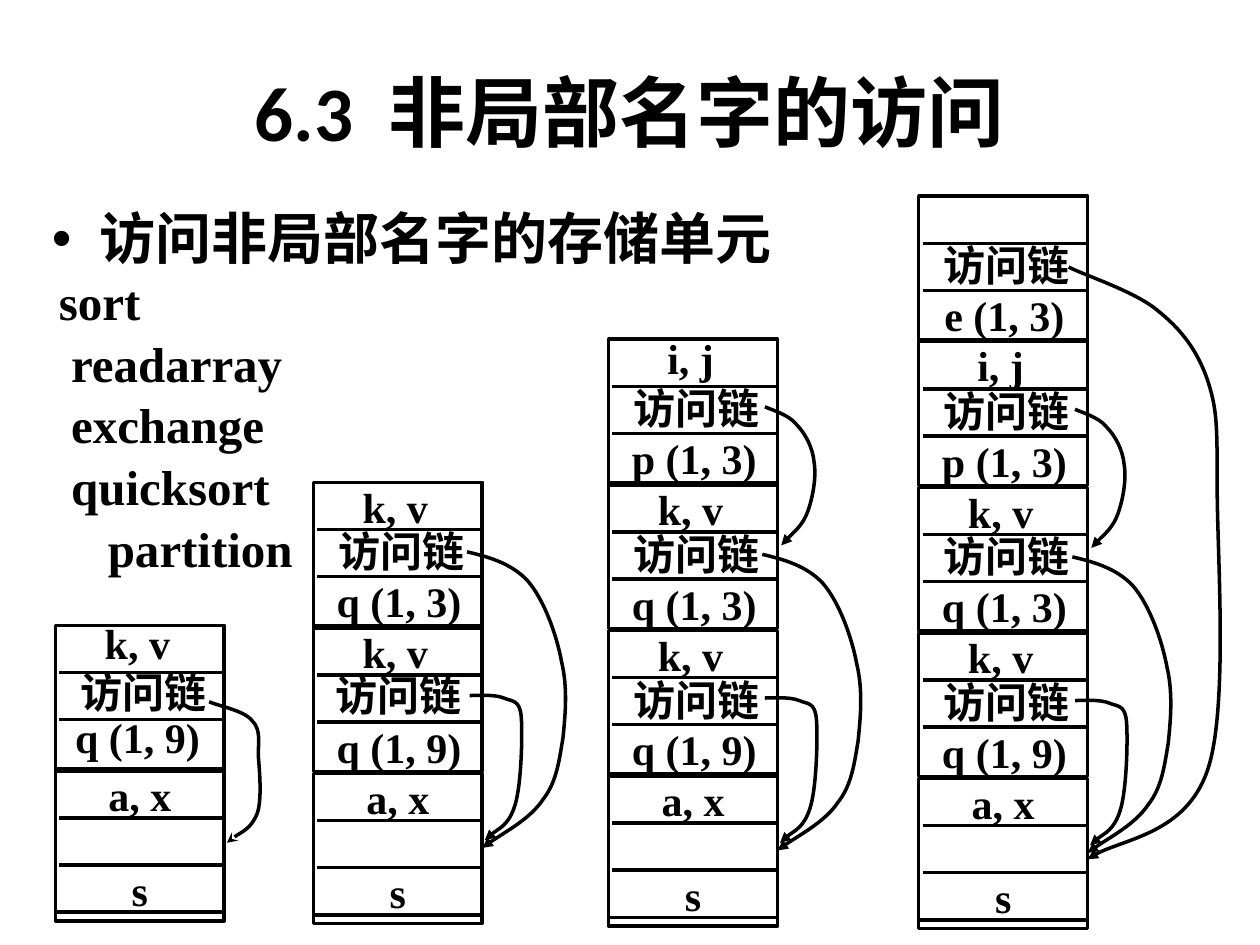
from dataclasses import dataclass

from lxml import etree
from pptx import Presentation
from pptx.dml.color import RGBColor
from pptx.enum.shapes import MSO_CONNECTOR, MSO_SHAPE
from pptx.enum.text import MSO_ANCHOR, PP_ALIGN
from pptx.oxml.ns import qn
from pptx.util import Pt

RECT = MSO_SHAPE.RECTANGLE
STRAIGHT = MSO_CONNECTOR.STRAIGHT
LEFT, CENTER, JUSTIFY = PP_ALIGN.LEFT, PP_ALIGN.CENTER, PP_ALIGN.JUSTIFY
TOP, MIDDLE = MSO_ANCHOR.TOP, MSO_ANCHOR.MIDDLE
Points = list[tuple[float, float]]


@dataclass(frozen=True)
class Theme:
    ink: RGBColor = RGBColor(0, 0, 0)
    heading_font: str = "Calibri"
    cjk_font: str = "Noto Sans CJK SC"
    code_font: str = "Times New Roman"
    heading_size: float = 44
    bullet_size: float = 32
    code_size: float = 28
    label_size: float = 24
    stroke: float = 2


@dataclass(frozen=True)
class Frame:
    call: str
    variables: str = "k, v"
    variables_dy: float = -1.4
    link_dx: float = 2.2
    link_dy: float = 24.2
    call_dx: float = 0.7
    call_dy: float = 52.6


@dataclass(frozen=True)
class Link:
    points: Points
    head: str = "triangle"


@dataclass(frozen=True)
class Stack:
    left: float
    frames: list[Frame]
    links: list[Link]


THEME = Theme()
WIDTH = 96.5
BASE_HEIGHT, FRAME_HEIGHT, FRAME_PITCH = 85.7, 82.1, 83.2
BASE_TOP, BASE_STEP = 440.6, 1.44
ROW = 26.9
RULE_INSET = 2.2
LABEL_HEIGHT = 31

MAIN_LINK = Link([
    (87.8, -39.6), (92.2, -37.4), (108, -34.6), (112.3, -28.8), (117.4, -23.8),
    (115.9, -17.3), (115.9, -8.6), (116.6, 0), (118.1, 16.6), (115.2, 24.5),
    (111.6, 33.1), (101.5, 37.4), (97.9, 41)], "stealth")
OUTER_SORT_LINK = Link([
    (89.3, -44.6), (92.2, -44.6), (103.7, -45.4), (108.7, -43.2), (113.8, -41),
    (118.1, -42.5), (118.8, -31.7), (119.5, -21.6), (118.8, 6.5), (115.2, 18),
    (111.6, 29.5), (101.5, 33.8), (97.9, 38.2)])
INNER_SORT_LINK = Link([
    (87.8, -126.7), (100.1, -123.8), (113, -120.2), (122.4, -110.2),
    (131.8, -99.4), (139, -79.2), (141.8, -64.1), (145.4, -49), (144, -33.8),
    (142.6, -20.2), (140.4, -7.2), (139, 5), (131, 15.1), (123.8, 25.9),
    (103.7, 36.7), (96.5, 42.5)])
PARTITION_LINK = Link([
    (89.3, -211), (92.2, -209.5), (103, -206.6), (107.3, -200.9),
    (112.3, -195.8), (116.6, -187.9), (117.4, -179.3), (118.8, -170.6),
    (116.6, -159.1), (113.8, -151.2), (110.9, -143.3), (102.2, -136.1),
    (98.6, -131.8)])
EXCHANGE_LINK = Link([
    (85.7, -292.3), (93.6, -288), (123.1, -278.6), (136.1, -267.8),
    (149.8, -257), (159.1, -244.8), (164.9, -228.2), (170.6, -211),
    (170.6, -202.3), (170.6, -165.6), (170.6, -128.2), (177.1, -38.9),
    (164.9, -4.3), (152.6, 31), (110.9, 35.3), (96.5, 46.1)])

OUTER_SORT, INNER_SORT = Frame("q (1, 9)"), Frame("q (1, 3)")
SORT_LINKS = [OUTER_SORT_LINK, INNER_SORT_LINK]
STACKS = [
    Stack(31.7, [Frame("q (1, 9)", variables_dy=-5, link_dy=23, call_dx=-1.4,
                       call_dy=48.2)], [MAIN_LINK]),
    Stack(179.1, [Frame("q (1, 9)", link_dx=0.4, link_dy=23), INNER_SORT],
          SORT_LINKS),
    Stack(347.8, [OUTER_SORT, INNER_SORT,
                  Frame("p (1, 3)", "i, j", variables_dy=-4.4)],
          [*SORT_LINKS, PARTITION_LINK]),
    Stack(525, [OUTER_SORT, INNER_SORT,
                Frame("p (1, 3)", "i, j", variables_dy=-2.2),
                Frame("e (1, 3)", "")],
          [*SORT_LINKS, PARTITION_LINK, EXCHANGE_LINK]),
]
PROCEDURES = ["sort", " readarray", " exchange", " quicksort", "    partition"]


def add_text(slide, lines: list[str], left: float, top: float, width: float,
             height: float, font: str, size: float, align=LEFT, anchor=TOP,
             wrap: bool = True, spacing: float = 1.0):
    """Add a bold text box with one paragraph per line and return its frame."""
    frame = slide.shapes.add_textbox(Pt(left), Pt(top), Pt(width), Pt(height)).text_frame
    frame.word_wrap, frame.vertical_anchor = wrap, anchor
    for index, line in enumerate(lines):
        paragraph = frame.add_paragraph() if index else frame.paragraphs[0]
        paragraph.alignment, paragraph.line_spacing = align, spacing
        run = paragraph.add_run()
        run.text = line
        run.font.name, run.font.size, run.font.bold = font, Pt(size), True
        run.font.color.rgb = THEME.ink
        east_asian = etree.SubElement(run.font._element, qn("a:ea"))
        east_asian.set("typeface", THEME.cjk_font)
    return frame


def add_label(slide, text: str, left: float, top: float) -> None:
    """Add a centred cell label."""
    frame = add_text(slide, [text], left, top, WIDTH, LABEL_HEIGHT,
                     THEME.code_font, THEME.label_size, CENTER)
    frame.margin_top = frame.margin_bottom = Pt(0.7)


def style_outline(shape) -> None:
    """Give a shape the common stroke."""
    shape.line.color.rgb, shape.line.width = THEME.ink, Pt(THEME.stroke)


def add_rule(slide, left: float, right: float, y: float) -> None:
    """Add a horizontal rule between cells."""
    rule = slide.shapes.add_connector(STRAIGHT, Pt(left), Pt(y), Pt(right), Pt(y))
    style_outline(rule)
    etree.SubElement(rule.element.spPr, qn("a:effectLst"))


def add_record(slide, left: float, top: float, height: float) -> None:
    """Add an activation record box with its two inner rules."""
    record = slide.shapes.add_shape(RECT, Pt(left), Pt(top), Pt(WIDTH), Pt(height))
    record.shadow.inherit = False
    record.fill.background()
    style_outline(record)
    for row in (1, 2):
        add_rule(slide, left + RULE_INSET, left + WIDTH - 1.1, top + row * ROW)


def add_link(slide, link: Link, left: float, top: float) -> None:
    """Add a curved access link through Bezier control points."""
    start, *controls = [(Pt(left + x), Pt(top + y)) for x, y in link.points]
    builder = slide.shapes.build_freeform(*start)
    builder.add_line_segments(controls, close=False)
    curve = builder.convert_to_shape()
    curve.shadow.inherit = False
    curve.fill.background()
    style_outline(curve)
    outline = next(curve.element.iter(qn("a:path")))
    segments = outline.findall(qn("a:lnTo"))
    for first in range(0, len(segments), 3):
        bezier = etree.SubElement(outline, qn("a:cubicBezTo"))
        for segment in segments[first:first + 3]:
            bezier.append(segment[0])
            outline.remove(segment)
    etree.SubElement(curve.line._get_or_add_ln(), qn("a:tailEnd")).set("type", link.head)


def add_stack(slide, stack: Stack, base_top: float) -> None:
    """Draw one run-time stack from its base record upwards."""
    left = stack.left
    add_record(slide, left, base_top, BASE_HEIGHT)
    add_rule(slide, left + 0.7, left + WIDTH, base_top + 3 * ROW)
    add_label(slide, "a, x", left, base_top - 1.4)
    add_label(slide, "s", left, base_top + 52.6)
    for level, frame in enumerate(stack.frames, 1):
        top = base_top - level * FRAME_PITCH
        add_record(slide, left, top, FRAME_HEIGHT)
        add_label(slide, frame.call, left + frame.call_dx, top + frame.call_dy)
        if frame.variables:
            add_label(slide, frame.variables, left - 1.4, top + frame.variables_dy)
        add_label(slide, "访问链", left + frame.link_dx, top + frame.link_dy)
    for link in stack.links:
        add_link(slide, link, left, base_top)


def main() -> None:
    """Build the slide and save it."""
    deck = Presentation()
    deck.slide_width, deck.slide_height = Pt(720), Pt(540)
    slide = deck.slides.add_slide(deck.slide_layouts[6])
    add_text(slide, ["6.3  非局部名字的访问"], 12, 18, 696, 90, THEME.heading_font,
             THEME.heading_size, CENTER, MIDDLE)
    topic = add_text(slide, ["访问非局部名字的存储单元"], 22.5, 113, 674.5, 396.7,
                     THEME.cjk_font, THEME.bullet_size, JUSTIFY).paragraphs[0]
    properties = topic._p.get_or_add_pPr()
    properties.set("marL", str(Pt(27)))
    properties.set("indent", str(-Pt(27)))
    etree.SubElement(properties, qn("a:buFont")).set("typeface", "Arial")
    etree.SubElement(properties, qn("a:buChar")).set("char", "•")
    add_text(slide, PROCEDURES, 26.6, 149.8, 208.8, 177, THEME.code_font,
             THEME.code_size, wrap=False, spacing=1.05)
    for index, stack in enumerate(STACKS):
        add_stack(slide, stack, BASE_TOP + index * BASE_STEP)
    deck.save("out.pptx")


if __name__ == "__main__":
    main()
